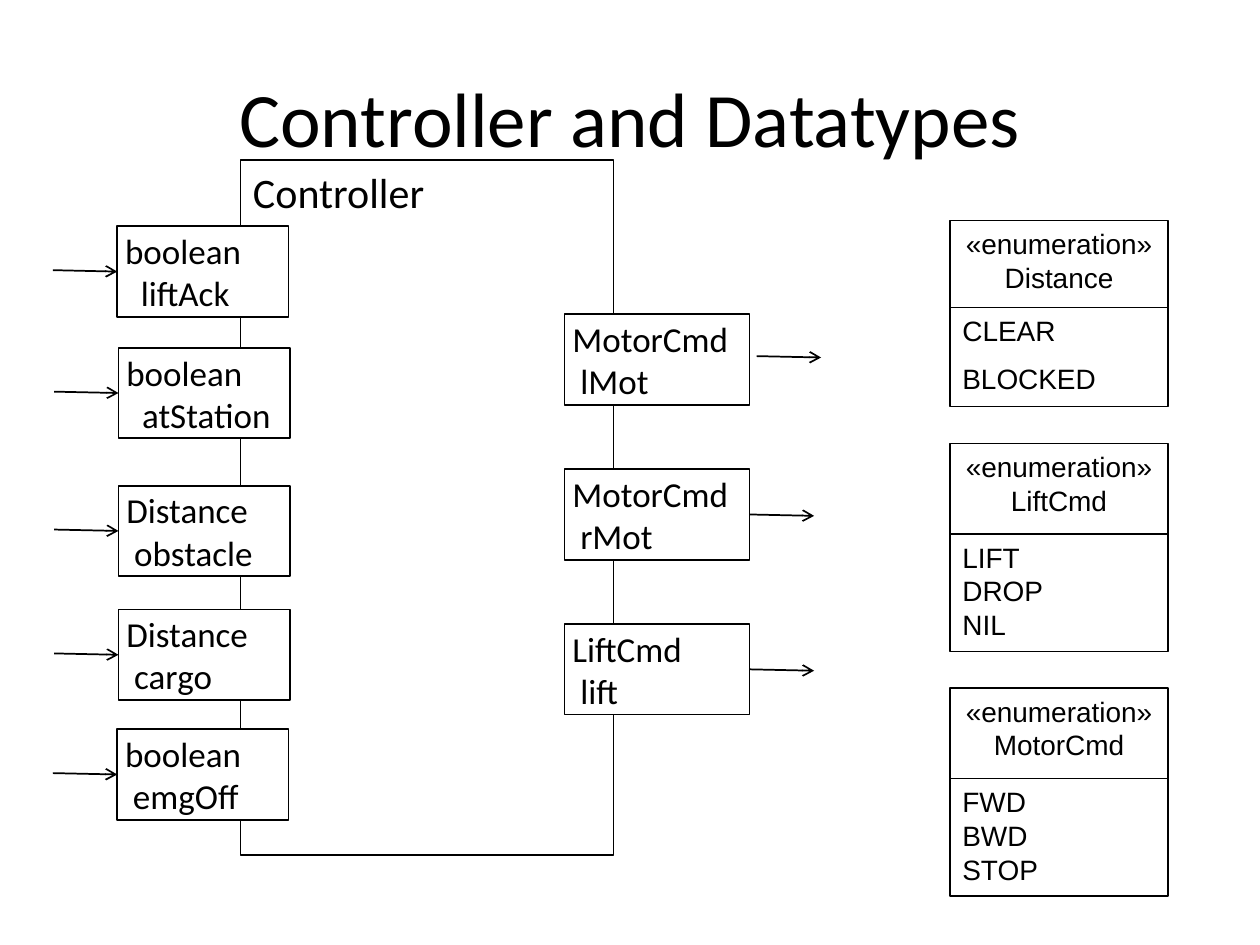
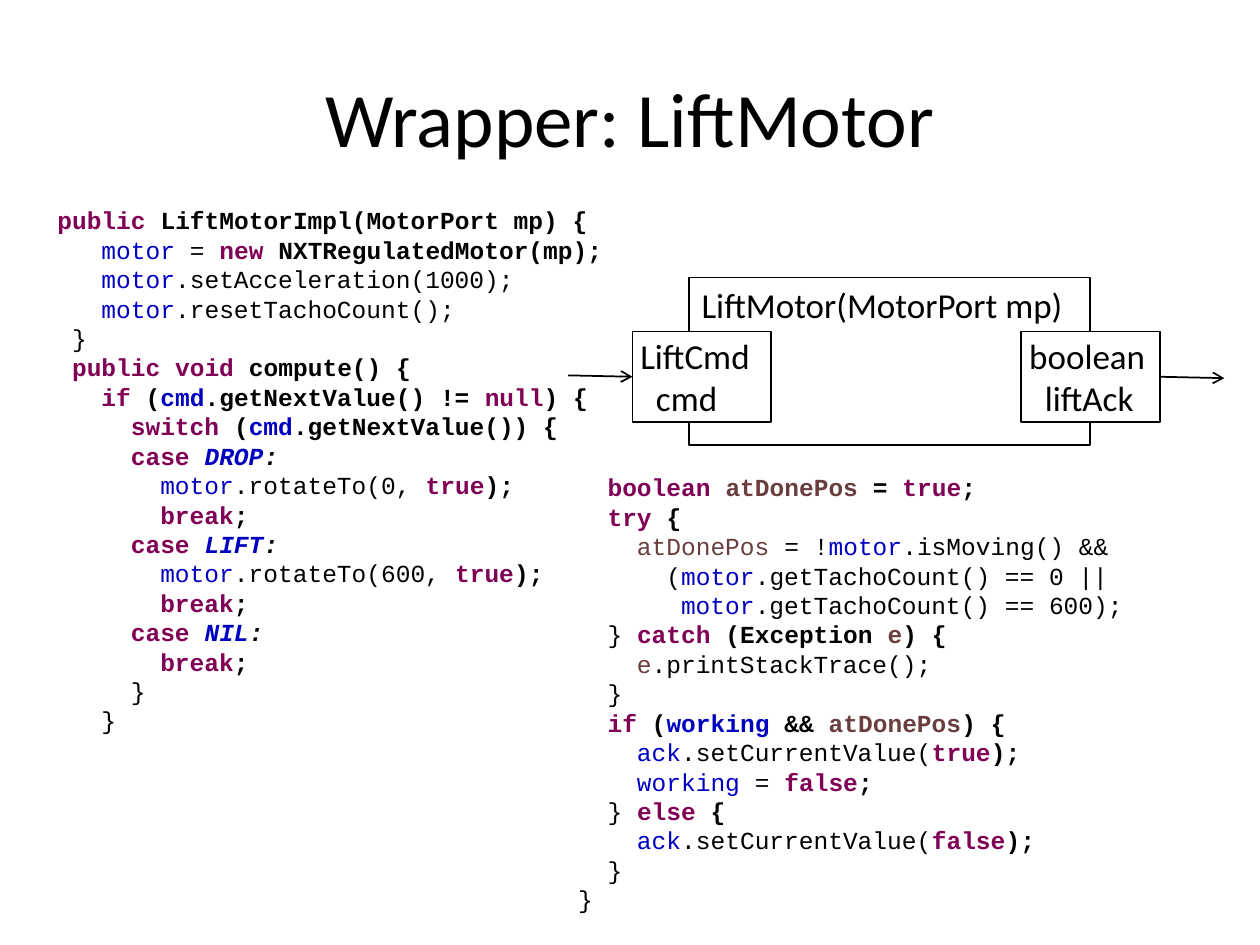
"""Build two slides on the lift controller: its datatypes and the LiftMotor wrapper."""
from lxml import etree
from pptx import Presentation, util as u
from pptx.dml.color import RGBColor
from pptx.enum import shapes, text
from pptx.oxml.ns import qn

COLOURS = {"ink": "000000", "paper": "FFFFFF", "keyword": "7F0055",
           "field": "0000C0", "local": "6A3E3E"}

CODE_STYLES = {
    "p": ("ink", {}),
    "b": ("ink", {"bold": True}),
    "i": ("ink", {"bold": True, "italic": True}),
    "k": ("keyword", {"bold": True}),
    "f": ("field", {}),
    "F": ("field", {"bold": True}),
    "E": ("field", {"bold": True, "italic": True}),
    "v": ("local", {}),
    "V": ("local", {"bold": True}),
}

TITLE_FONT = {"name": "Calibri", "size": u.Pt(44)}
BLOCK_FONT = {"name": "Calibri", "size": u.Pt(24)}
PORT_FONT = {"name": "Calibri", "size": u.Pt(20)}
ENUM_FONT = {"name": "Arial", "size": u.Pt(16)}
CODE_FONT = {"name": "Courier New", "size": u.Pt(14)}

TOP = {"word_wrap": True, "vertical_anchor": text.MSO_ANCHOR.TOP}
MIDDLE = {"word_wrap": True, "vertical_anchor": text.MSO_ANCHOR.MIDDLE}
PORT_FRAME = {**MIDDLE, "margin_left": 0, "margin_right": 0,
              "margin_top": 0, "margin_bottom": 0}
CODE_FRAME = {**TOP, "auto_size": text.MSO_AUTO_SIZE.SHAPE_TO_FIT_TEXT}
LEFT, CENTRE = text.PP_ALIGN.LEFT, text.PP_ALIGN.CENTER

PORT_SPACE = 4.5
CODE_COLUMN = 8.4
PORT_HEIGHT = 51.8
ARROW_LENGTH = 36.8
ARROW_DROP = 0.8

ENUM_LEFT, ENUM_WIDTH = 542.9, 124.6
ENUMERATIONS = [
    ("Distance", ["CLEAR", "BLOCKED"], 126, 49.6, 56.9, 8.5),
    ("LiftCmd", ["LIFT", "DROP", "NIL"], 253.4, 51.8, 67, 0),
    ("MotorCmd", ["FWD", "BWD", "STOP"], 393.2, 51.8, 67, 0),
]

CONTROLLER = (137.5, 91.4, 213.1, 397.4)
INPUT_WIDTH = 97.9
INPUTS = [
    ("boolean", "liftAck", 3, 67, 129.3),
    ("boolean", "atStation", 3, 67.7, 198.7),
    ("Distance", "obstacle", 2, 67.7, 277.5),
    ("Distance", "cargo", 2, 67.7, 348.3),
    ("boolean", "emgOff", 2, 67, 416.7),
]
OUTPUT_LEFT, OUTPUT_TOP, OUTPUT_STEP, OUTPUT_WIDTH = 322.6, 179.6, 88.5, 105.8
OUTPUTS = [
    ("MotorCmd", "lMot", (4, -2)),
    ("MotorCmd", "rMot", None),
    ("LiftCmd", "lift", None),
]

WRAPPER = (393.8, 158.5, 229, 95.6)
WRAPPER_PORT_TOP, WRAPPER_PORT_WIDTH = 189.4, 79.2
COMMAND_LEFT, ACK_LEFT = 361.4, 583.6

COMMAND_CODE = [
    (1, "kpublic ~bLiftMotorImpl(MotorPort mp) {"),
    (4, "fmotor~p = ~knew ~bNXTRegulatedMotor(mp);"),
    (4, "fmotor~p.setAcceleration(1000);"),
    (4, "fmotor~p.resetTachoCount();"),
    (2, "p}"),
    (2, "kpublic void~b compute() {"),
    (4, "kif~b (~Fcmd~b.getNextValue() != ~knull~b) {"),
    (6, "kswitch~b (~Fcmd~b.getNextValue()) {"),
    (6, "kcase ~EDROP~i:"),
    (8, "fmotor~p.rotateTo(0, ~ktrue~b);"),
    (8, "kbreak~b;"),
    (6, "kcase ~ELIFT~i:"),
    (8, "fmotor~p.rotateTo(600, ~ktrue~b);"),
    (8, "kbreak~b;"),
    (6, "kcase ~ENIL~i:"),
    (8, "kbreak~b;"),
    (6, "p}"),
    (4, "p}"),
]
ACK_CODE = [
    (2, "kboolean ~VatDonePos~b = ~ktrue~b;"),
    (2, "ktry~b {"),
    (4, "vatDonePos~p = !~fmotor~p.isMoving() &&"),
    (6, "p(~fmotor~p.getTachoCount() == 0 ||"),
    (7, "fmotor~p.getTachoCount() == 600);"),
    (2, "p} ~kcatch~b (Exception ~Ve~b) {"),
    (4, "ve~p.printStackTrace();"),
    (2, "p}"),
    (2, "kif~b (~Fworking~b && ~VatDonePos~b) {"),
    (4, "fack~p.setCurrentValue(~ktrue~b);"),
    (4, "fworking~p = ~kfalse~b;"),
    (2, "p} ~kelse~b {"),
    (4, "fack~p.setCurrentValue(~kfalse~b);"),
    (2, "p}"),
    (0, "p}"),
]


def colour(key):
    return RGBColor.from_string(COLOURS[key])


def apply(target, formats):
    for key, value in formats.items():
        setattr(target, key, value)


def write(shape, lines, frame_format, font, align=LEFT, unit=0, gap=0):
    """Write (indent, marked-up line) pairs, one paragraph each."""
    frame = shape.text_frame
    apply(frame, frame_format)
    for number, (indent, line) in enumerate(lines):
        paragraph = frame.add_paragraph() if number else frame.paragraphs[0]
        apply(paragraph, {"alignment": align,
                          "space_before": u.Pt(gap if number else 0)})
        if indent:
            properties = paragraph._p.get_or_add_pPr()
            properties.set("marL", str(u.Pt(indent * unit)))
            properties.set("indent", "0")
        for segment in line.split("~"):
            ink, emphasis = CODE_STYLES[segment[0]]
            run = paragraph.add_run()
            run.text = segment[1:]
            apply(run.font, {**font, **emphasis})
            run.font.color.rgb = colour(ink)


def plain(*lines):
    return [(0, "p" + line) for line in lines]


def add_text(slide, place, *content, **options):
    write(slide.shapes.add_textbox(*map(u.Pt, place)), *content, **options)


def add_box(slide, place, *content, filled=True, weight=1, **options):
    box = slide.shapes.add_shape(shapes.MSO_SHAPE.RECTANGLE, *map(u.Pt, place))
    box.shadow.inherit = False
    if filled:
        box.fill.solid()
        box.fill.fore_color.rgb = colour("paper")
    else:
        box.fill.background()
    box.line.color.rgb = colour("ink")
    box.line.width = u.Pt(weight)
    write(box, *content, **options)
    return box


def add_arrow(slide, left, top):
    arrow = slide.shapes.add_connector(
        shapes.MSO_CONNECTOR.STRAIGHT,
        *map(u.Pt, (left, top, left + ARROW_LENGTH, top + ARROW_DROP)))
    arrow.line.color.rgb = colour("ink")
    arrow.line.width = u.Pt(1)
    properties = arrow.element.spPr
    etree.SubElement(properties.find(qn("a:ln")), qn("a:tailEnd"), type="arrow")
    etree.SubElement(properties, qn("a:effectLst"))
    return arrow


def add_port(slide, datatype, name, spaces, left, top, width):
    return add_box(slide, (left, top, width, PORT_HEIGHT),
                   [(1, "p" + datatype), (spaces, "p" + name)],
                   PORT_FRAME, PORT_FONT, unit=PORT_SPACE)


def add_input(slide, datatype, name, spaces, left, top, width):
    port = add_port(slide, datatype, name, spaces, left, top, width)
    arrow = add_arrow(slide, left - ARROW_LENGTH, top + PORT_HEIGHT / 2 - ARROW_DROP)
    arrow.end_connect(port, 1)


def add_output(slide, datatype, name, spaces, left, top, width, offset=None):
    port = add_port(slide, datatype, name, spaces, left, top, width)
    across, down = offset or (0, 0)
    arrow = add_arrow(slide, left + width + across, top + PORT_HEIGHT / 2 + down)
    if offset is None:
        arrow.begin_connect(port, 3)


def add_titled_slide(deck, title):
    slide = deck.slides.add_slide(deck.slide_layouts[6])
    add_text(slide, (36, 21.6, 648, 90), plain(title), MIDDLE, TITLE_FONT,
             align=CENTRE)
    return slide


def build_controller(deck):
    slide = add_titled_slide(deck, "Controller and Datatypes")
    for name, literals, top, head, body, gap in ENUMERATIONS:
        add_box(slide, (ENUM_LEFT, top, ENUM_WIDTH, head),
                plain("«enumeration»", name), TOP, ENUM_FONT,
                filled=False, weight=0.75, align=CENTRE)
        add_box(slide, (ENUM_LEFT, top + head, ENUM_WIDTH, body),
                plain(*literals), TOP, ENUM_FONT,
                filled=False, weight=0.75, gap=gap)
    add_box(slide, CONTROLLER, plain("Controller"), TOP, BLOCK_FONT)
    for port in INPUTS:
        add_input(slide, *port, INPUT_WIDTH)
    for row, (datatype, name, offset) in enumerate(OUTPUTS):
        add_output(slide, datatype, name, 2, OUTPUT_LEFT,
                   OUTPUT_TOP + row * OUTPUT_STEP, OUTPUT_WIDTH, offset)


def build_wrapper(deck):
    slide = add_titled_slide(deck, "Wrapper: LiftMotor")
    add_text(slide, (17.3, 113.8, 514, 329.8), COMMAND_CODE, CODE_FRAME,
             CODE_FONT, unit=CODE_COLUMN)
    add_box(slide, WRAPPER, plain("LiftMotor(MotorPort mp)"), TOP, PORT_FONT)
    add_input(slide, "LiftCmd", "cmd", 3, COMMAND_LEFT, WRAPPER_PORT_TOP,
              WRAPPER_PORT_WIDTH)
    add_output(slide, "boolean", "liftAck", 3, ACK_LEFT, WRAPPER_PORT_TOP,
               WRAPPER_PORT_WIDTH)
    add_text(slide, (323.3, 266.4, 370, 262), ACK_CODE, CODE_FRAME,
             CODE_FONT, unit=CODE_COLUMN)


def main():
    deck = Presentation()
    apply(deck, {"slide_width": u.Pt(720), "slide_height": u.Pt(540)})
    build_controller(deck)
    build_wrapper(deck)
    deck.save("out.pptx")


if __name__ == "__main__":
    main()
